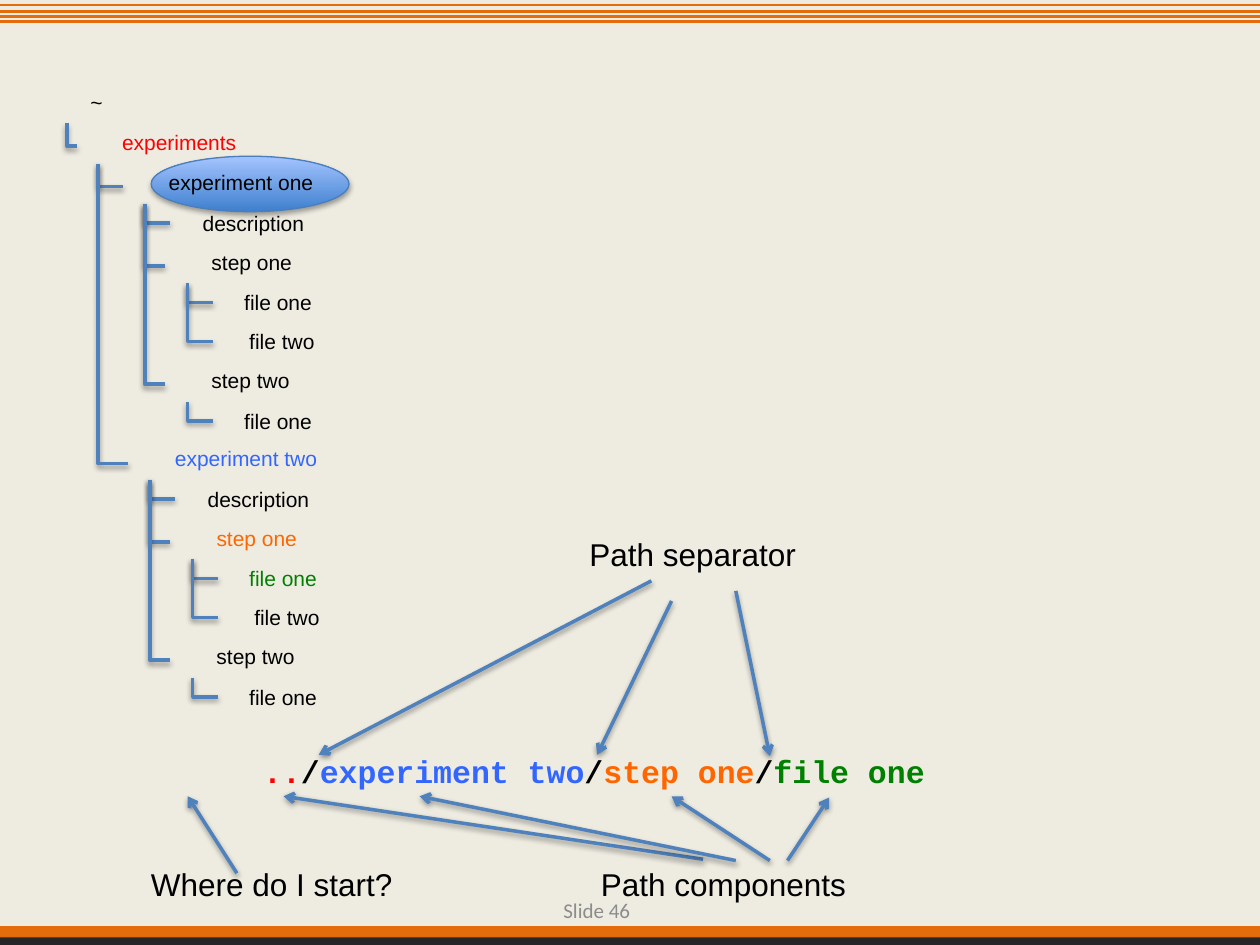
from dataclasses import dataclass

from lxml import etree
from pptx import Presentation
from pptx.dml.color import RGBColor
from pptx.enum.shapes import MSO_CONNECTOR, MSO_SHAPE
from pptx.enum.text import MSO_ANCHOR, MSO_AUTO_SIZE, PP_ALIGN
from pptx.oxml.ns import qn
from pptx.util import Inches, Pt

STRAIGHT = MSO_CONNECTOR.STRAIGHT
ELBOW = MSO_CONNECTOR.ELBOW
RECTANGLE = MSO_SHAPE.RECTANGLE
OVAL = MSO_SHAPE.OVAL
GROW = MSO_AUTO_SIZE.SHAPE_TO_FIT_TEXT
MIDDLE = MSO_ANCHOR.MIDDLE
RIGHT = PP_ALIGN.RIGHT


@dataclass(frozen=True)
class Theme:
    paper: str = "EEECE1"
    band: str = "E46C0A"
    dark: str = "262626"
    branch: str = "4F81BD"
    oval_line: str = "4B7EBC"
    oval_bottom: str = "3F80CE"
    oval_top: str = "A4C4FF"
    text: str = "000000"
    start: str = "FF0000"
    experiment: str = "3366FF"
    step: str = "FF6600"
    file: str = "008000"
    footer: str = "8C8C8C"
    sans: str = "Arial"
    mono: str = "Courier New"
    footer_font: str = "Calibri"
    small: int = 12
    large: int = 18


theme = Theme()


def add_shadow(shape, distance, opacity):
    properties = shape._element.spPr
    effects = properties.find(qn("a:effectLst"))
    if effects is None:
        effects = etree.SubElement(properties, qn("a:effectLst"))
    shadow = etree.SubElement(effects, qn("a:outerShdw"), blurRad=str(Pt(3.1)),
                              dist=str(Pt(distance)), dir="5400000", rotWithShape="0")
    color = etree.SubElement(shadow, qn("a:srgbClr"), val="000000")
    etree.SubElement(color, qn("a:alpha"), val=str(opacity * 1000))


def add_label(text, left, top, width, height, size, color):
    box = page.shapes.add_textbox(Inches(left), Inches(top), Inches(width), Inches(height))
    box.text_frame.word_wrap = False
    box.text_frame.auto_size = GROW
    para = box.text_frame.paragraphs[0]
    para.text = text
    para.font.name = theme.sans
    para.font.size = Pt(size)
    para.font.color.rgb = RGBColor.from_string(color)
    return box


deck = Presentation()
deck.slide_width = Inches(10)
deck.slide_height = Inches(7.5)
page = deck.slides.add_slide(deck.slide_layouts[6])
page.background.fill.solid()
page.background.fill.fore_color.rgb = RGBColor.from_string(theme.paper)

for top, height, color in [(7.35, 0.15, theme.band), (7.44, 0.06, theme.dark)]:
    bar = page.shapes.add_shape(RECTANGLE, 0, Inches(top), deck.slide_width, Inches(height))
    bar.shadow.inherit = False
    bar.fill.solid()
    bar.fill.fore_color.rgb = RGBColor.from_string(color)
    bar.line.fill.background()
add_shadow(bar, 1.8, 35)

for top in (0.04, 0.09, 0.13, 0.17):
    stripe = page.shapes.add_connector(STRAIGHT, 0, Inches(top), deck.slide_width, Inches(top))
    stripe.line.color.rgb = RGBColor.from_string(theme.band)
    stripe.line.width = Pt(1.5)
    etree.SubElement(stripe._element.spPr, qn("a:effectLst"))

oval = page.shapes.add_shape(OVAL, Inches(1.2), Inches(1.24), Inches(1.57), Inches(0.44))
oval.shadow.inherit = False
oval.fill.gradient()
oval.fill.gradient_angle = 90
for stop, color in zip(oval.fill.gradient_stops, (theme.oval_bottom, theme.oval_top)):
    stop.color.rgb = RGBColor.from_string(color)
oval.line.color.rgb = RGBColor.from_string(theme.oval_line)
oval.line.width = Pt(0.75)
add_shadow(oval, 1.8, 35)

labels = [
    ("~", 0.62, 0.66, 0.3, theme.text),
    ("experiments", 0.87, 0.98, 1.12, theme.start),
    ("experiment one", 1.24, 1.3, 1.36, theme.text),
    ("experiment two", 1.29, 3.49, 1.34, theme.experiment),
]
branches = [
    (0.53, 0.98, 0.61, 1.16),
    (0.78, 1.3, 0.98, 1.48),
    (0.78, 1.3, 1.02, 3.68),
]
experiments = [
    (0, 0, theme.text, theme.text),
    (0.04, 2.19, theme.step, theme.file),
]
for shift, drop, step_color, file_color in experiments:
    for text, left, top, width, color in [
        ("description", 1.51, 1.62, 1.02, theme.text),
        ("step one", 1.58, 1.93, 0.85, step_color),
        ("file one", 1.84, 2.25, 0.74, file_color),
        ("file two", 1.88, 2.56, 0.73, theme.text),
        ("step two", 1.58, 2.87, 0.83, theme.text),
        ("file one", 1.84, 3.19, 0.74, theme.text),
    ]:
        labels.append((text, left + shift, top + drop, width, color))
    for left, top, right, bottom in [
        (1.15, 1.62, 1.35, 1.77),
        (1.15, 1.62, 1.31, 2.11),
        (1.15, 1.62, 1.31, 3.05),
        (1.49, 2.25, 1.69, 2.4),
        (1.49, 2.25, 1.69, 2.71),
        (1.49, 3.19, 1.69, 3.34),
    ]:
        branches.append((left + shift, top + drop, right + shift, bottom + drop))

for text, left, top, width, color in labels:
    add_label(text, left, top, width, 0.3, theme.small, color)

connectors = []
for left, top, right, bottom in branches:
    middle_x, middle_y = (left + right) / 2, (top + bottom) / 2
    half_width, half_height = (right - left) / 2, (bottom - top) / 2
    branch = page.shapes.add_connector(
        ELBOW, Inches(middle_x + half_height), Inches(middle_y - half_width),
        Inches(middle_x - half_height), Inches(middle_y + half_width))
    branch._element.spPr.find(qn("a:xfrm")).set("rot", "16200000")
    branch._element.spPr.find(qn("a:prstGeom")).set("prst", "bentConnector2")
    connectors.append((branch, False))

example = page.shapes.add_textbox(Inches(1.99), Inches(5.92), Inches(5.83), Inches(0.4))
example.text_frame.word_wrap = True
example.text_frame.auto_size = GROW
para = example.text_frame.paragraphs[0]
para.font.name = theme.mono
para.font.size = Pt(theme.large)
para.font.bold = True
for text, color in [
    ("..", theme.start), ("/", theme.text), ("experiment two", theme.experiment),
    ("/", theme.text), ("step one", theme.step), ("/", theme.text), ("file one", theme.file),
]:
    span = para.add_run()
    span.text = text
    span.font.color.rgb = RGBColor.from_string(color)

for text, left, top, width in [
    ("Path components", 4.67, 6.82, 2.17),
    ("Path separator", 4.58, 4.2, 1.86),
    ("Where do I start?", 1.1, 6.82, 2.14),
]:
    add_label(text, left, top, width, 0.4, theme.large, theme.text)

for ends in [
    (1.88, 6.93, 1.49, 6.32),
    (5.58, 6.82, 2.25, 6.32),
    (5.84, 6.83, 3.33, 6.32),
    (6.11, 6.83, 5.33, 6.32),
    (6.25, 6.83, 6.58, 6.33),
    (5.17, 4.61, 2.53, 5.99),
    (5.33, 4.77, 4.74, 5.99),
    (5.84, 4.69, 6.11, 6),
]:
    arrow = page.shapes.add_connector(STRAIGHT, *[Inches(end) for end in ends])
    connectors.append((arrow, True))

for connector, pointed in connectors:
    connector.line.color.rgb = RGBColor.from_string(theme.branch)
    connector.line.width = Pt(2)
    if pointed:
        etree.SubElement(connector._element.spPr.find(qn("a:ln")), qn("a:tailEnd"), type="arrow")
    add_shadow(connector, 1.6, 38)

footer = add_label("Slide 46", 4.11, 7.02, 0.99, 0.4, theme.small, theme.footer)
footer.text_frame.auto_size = MSO_AUTO_SIZE.NONE
footer.text_frame.word_wrap = True
footer.text_frame.vertical_anchor = MIDDLE
footer.text_frame.paragraphs[0].alignment = RIGHT
footer.text_frame.paragraphs[0].font.name = theme.footer_font

deck.save("out.pptx")
